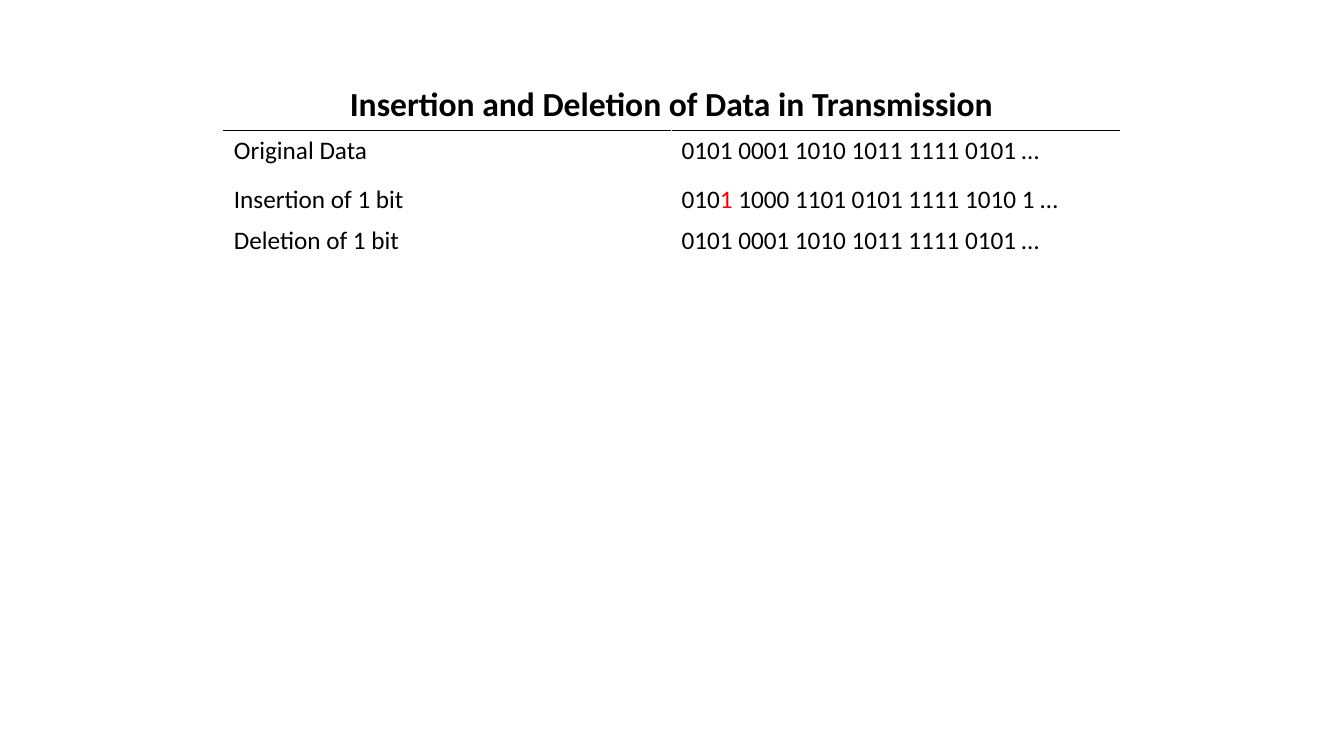
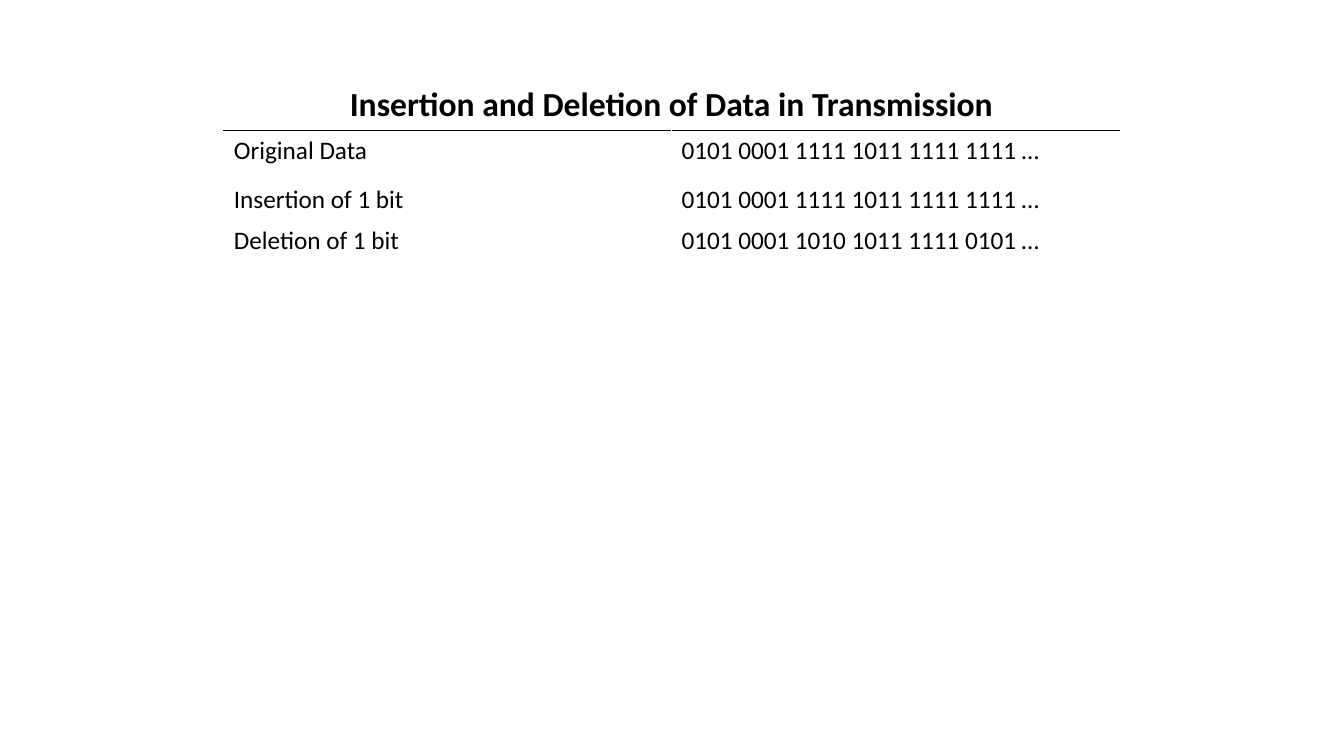
from lxml import etree
from pptx import Presentation
from pptx.dml.color import RGBColor
from pptx.enum.text import PP_ALIGN
from pptx.oxml.ns import qn
from pptx.util import Inches, Pt

BLACK = RGBColor(0x00, 0x00, 0x00)
RED = RGBColor(0xFF, 0x00, 0x00)
CENTER = PP_ALIGN.CENTER

TITLE = "Insertion and Deletion of Data in Transmission"
TITLE_FORMAT = {"name": "Calibri", "size": Pt(24), "bold": True}
BODY_FORMAT = {"name": "Calibri", "size": Pt(18), "bold": False}
ROW_HEIGHTS = [0.5, 0.48, 0.41, 0.41]
COLUMN_WIDTH = 4.44
LABELS = ["Original Data", "Insertion of 1 bit", "Deletion of 1 bit"]

# Each bit stream is a list of (text, colour) spans.
BIT_STREAMS = [
    [
        [("0101 0001 1010 1011 1111 0101 …", BLACK)],
        [("010", BLACK), ("1 ", RED), ("1000 1101 0101 1111 1010 1 …", BLACK)],
        [("0101 0001 1010 1011 1111 0101 …", BLACK)],
    ],
    [
        [("0101 0001 1111 1011 1111 1111 …", BLACK)],
        [("0101 0001 1111 1011 1111 1111 …", BLACK)],
        [("0101 0001 1010 1011 1111 0101 …", BLACK)],
    ],
]


def write_spans(cell, spans, text_format):
    para = cell.text_frame.paragraphs[0]
    for text, colour in spans:
        span = para.add_run()
        span.text = text
        span.font.color.rgb = colour
        for name, value in text_format.items():
            setattr(span.font, name, value)


def add_border(cell, side):
    """Draw a thin black rule on one side of a cell: "T" or "B"."""
    line = etree.SubElement(cell._tc.get_or_add_tcPr(), qn(f"a:ln{side}"), w=str(Pt(1)))
    fill = etree.SubElement(line, qn("a:solidFill"))
    etree.SubElement(fill, qn("a:srgbClr"), val=str(BLACK))


deck = Presentation()
deck.slide_width, deck.slide_height = Inches(13.33), Inches(7.5)

for streams in BIT_STREAMS:
    page = deck.slides.add_slide(deck.slide_layouts[6])
    table = page.shapes.add_table(
        len(ROW_HEIGHTS), 2, Inches(2.22), Inches(0.79),
        Inches(2 * COLUMN_WIDTH), Inches(sum(ROW_HEIGHTS)),
    ).table
    table.first_row = table.horz_banding = False
    for column in table.columns:
        column.width = Inches(COLUMN_WIDTH)
    for row, height in zip(table.rows, ROW_HEIGHTS):
        row.height = Inches(height)

    for column in range(2):
        add_border(table.cell(0, column), "B")
        add_border(table.cell(1, column), "T")
    for cell in table.iter_cells():
        cell.fill.background()

    header = table.cell(0, 0)
    header.merge(table.cell(0, 1))
    write_spans(header, [(TITLE, BLACK)], TITLE_FORMAT)
    header.text_frame.paragraphs[0].alignment = CENTER

    for row, (label, stream) in enumerate(zip(LABELS, streams), start=1):
        write_spans(table.cell(row, 0), [(label, BLACK)], BODY_FORMAT)
        write_spans(table.cell(row, 1), stream, BODY_FORMAT)

deck.save("out.pptx")
